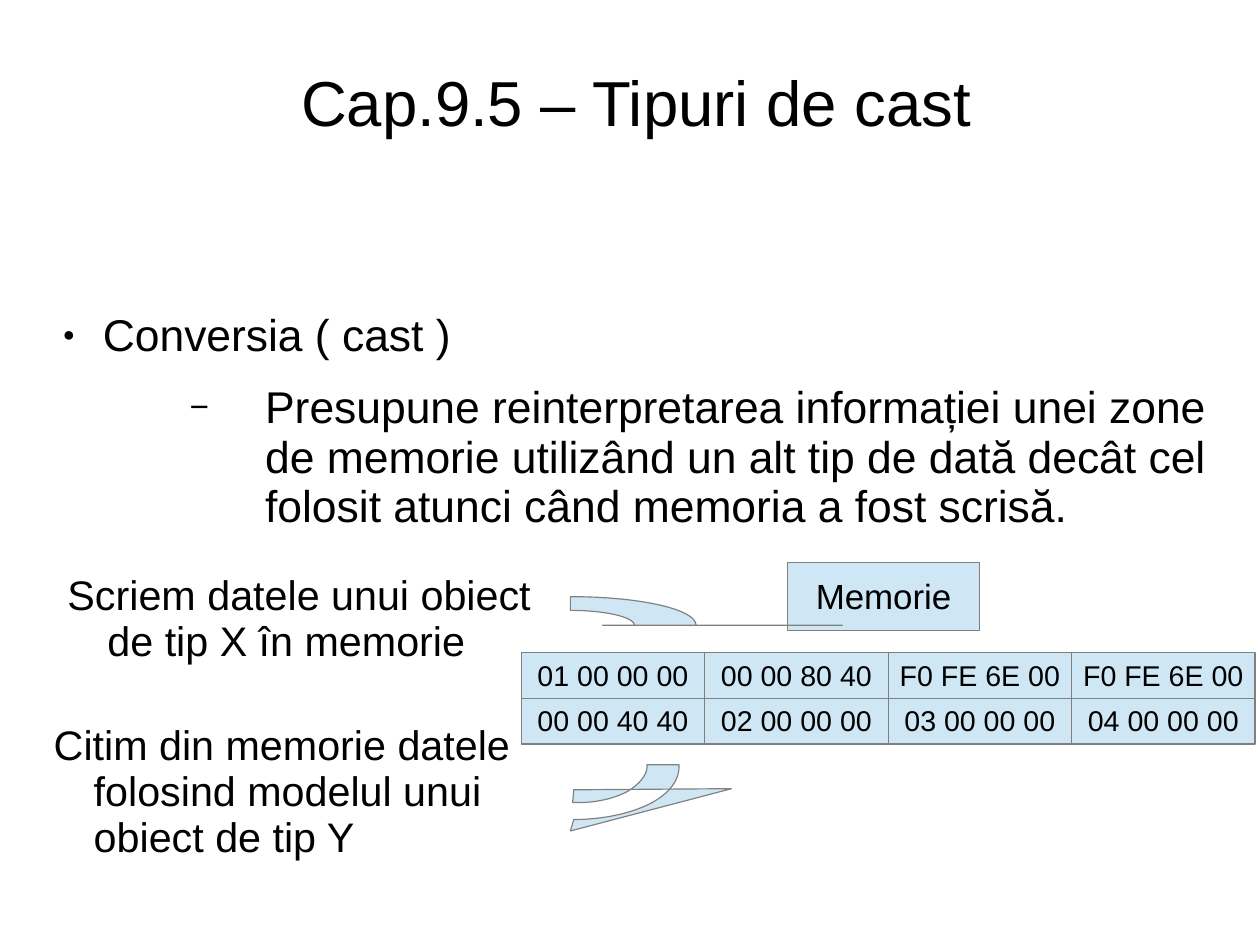
from lxml.etree import SubElement
from pptx import Presentation
from pptx.dml.color import RGBColor
from pptx.enum.shapes import MSO_SHAPE as SHAPE
from pptx.enum.text import MSO_ANCHOR as ANCHOR, PP_ALIGN as ALIGN
from pptx.oxml.ns import qn
from pptx.util import Inches, Pt

BLACK = RGBColor(0x00, 0x00, 0x00)
PALE_BLUE = RGBColor(0xCF, 0xE7, 0xF5)
GRAY = RGBColor(0x80, 0x80, 0x80)

CM_PER_INCH = 2.54
MEMORY = [
    ["01 00 00 00", "00 00 80 40", "F0 FE 6E 00", "F0 FE 6E 00"],
    ["00 00 40 40", "02 00 00 00", "03 00 00 00", "04 00 00 00"],
]
CELL_WIDTH = 6.42 / 4
CELL_HEIGHT = 0.4
WRITE_ARROW = [
    (5.55, 5.47), (5.55, 5.4, 5.3, 5.34, 4.99, 5.34), (4.99, 5.22),
    (5.6, 5.22, 6.09, 5.33, 6.09, 5.47), (6.36, 5.47), (7.37, 5.47), (5.27, 5.47),
]
READ_ARROW = [
    (5.01, 7.02), (5.19, 7.03, 5.36, 6.99, 5.48, 6.93),
    (5.6, 6.86, 5.67, 6.77, 5.66, 6.69), (5.94, 6.69),
    (5.95, 6.82, 5.86, 6.94, 5.69, 7.03), (5.51, 7.12, 5.27, 7.17, 5.02, 7.17),
    (4.99, 7.27), (6.4, 6.9), (5.02, 6.91),
]


def trace(segments, steps=16):
    """Return outline points, with each cubic curve sampled evenly."""
    points = [segments[0]]
    for seg in segments[1:]:
        if len(seg) == 2:
            points.append(seg)
            continue
        curve = [points[-1], seg[:2], seg[2:4], seg[4:]]
        for i in range(1, steps + 1):
            t = i / steps
            weights = ((1 - t) ** 3, 3 * t * (1 - t) ** 2, 3 * t * t * (1 - t), t ** 3)
            points.append(tuple(sum(w * c[k] for w, c in zip(weights, curve)) for k in (0, 1)))
    return points


class Slide:
    """Holds the style and the current slide."""

    def __init__(self, s, font="Arial"):
        self.s = s
        self.font = font

    def frame(self, sp, anchor, insets):
        tf = sp.text_frame
        tf.word_wrap = True
        tf.vertical_anchor = anchor
        tf.margin_left, tf.margin_top, tf.margin_right, tf.margin_bottom = map(Inches, insets)
        return tf

    def paragraph(self, p, text, size, align=ALIGN.LEFT, indent=None, after=0, bullet=None):
        p.alignment = align
        p.line_spacing = 0.93
        p.space_after = Pt(after)
        pPr = p._p.get_or_add_pPr()
        if indent:
            pPr.set("marL", str(Inches(indent[0])))
            pPr.set("indent", str(Inches(indent[1])))
        if bullet:
            char, percent = bullet
            SubElement(pPr, qn("a:buSzPct"), val=str(percent * 1000))
            SubElement(pPr, qn("a:buFont"), typeface=self.font)
            SubElement(pPr, qn("a:buChar"), char=char)
        r = p.add_run()
        r.text = text
        r.font.name = self.font
        r.font.size = Pt(size)
        r.font.color.rgb = BLACK

    def text_box(self, box, top_inset=0.03, anchor=ANCHOR.TOP):
        sp = self.s.shapes.add_textbox(*map(Inches, box))
        return self.frame(sp, anchor, (0, top_inset, 0, 0))

    def paint(self, sp):
        sp.shadow.inherit = False
        sp.fill.solid()
        sp.fill.fore_color.rgb = PALE_BLUE
        sp.line.color.rgb = GRAY
        sp.line.width = Pt(0.75)

    def block(self, box, text, size):
        sp = self.s.shapes.add_shape(SHAPE.ROUNDED_RECTANGLE, *map(Inches, box))
        sp.adjustments[0] = 0
        self.paint(sp)
        tf = self.frame(sp, ANCHOR.MIDDLE, (0.1, 0.07, 0.1, 0.05))
        self.paragraph(tf.paragraphs[0], text, size, ALIGN.CENTER)

    def outline(self, segments):
        points = [(Inches(x), Inches(y)) for x, y in trace(segments)]
        builder = self.s.shapes.build_freeform(*points[0])
        builder.add_line_segments(points[1:], close=True)
        self.paint(builder.convert_to_shape())


def main():
    prs = Presentation()
    prs.slide_width = Inches(28 / CM_PER_INCH)
    prs.slide_height = Inches(21 / CM_PER_INCH)
    slide = Slide(prs.slides.add_slide(prs.slide_layouts[6]))

    tf = slide.text_box((0.36, 0.28, 10.41, 1.24), 0.04, ANCHOR.MIDDLE)
    slide.paragraph(tf.paragraphs[0], "Cap.9.5 – Tipuri de cast", 40, ALIGN.CENTER)

    tf = slide.text_box((0.43, 2.7, 10.17, 2))
    slide.paragraph(tf.paragraphs[0], "Conversia ( cast )", 28,
                    indent=(0.47, -0.35), after=14.1, bullet=("●", 45))
    p = tf.add_paragraph()
    p.level = 1
    slide.paragraph(p, "Presupune reinterpretarea informației unei zone de memorie utilizând "
                    "un alt tip de dată decât cel folosit atunci când memoria a fost scrisă.",
                    28, indent=(1.89, -0.66), after=11.4, bullet=("−", 75))

    for row, values in enumerate(MEMORY):
        for col, value in enumerate(values):
            box = (4.56 + CELL_WIDTH * col, 5.71 + CELL_HEIGHT * row, CELL_WIDTH, CELL_HEIGHT)
            slide.block(box, value, 18)
    slide.block((6.89, 4.92, 1.68, 0.6), "Memorie", 22)

    for box, text in [
        ((0.47, 4.99, 4.22, 1), "Scriem datele unui obiect de tip X în memorie"),
        ((0.35, 6.3, 4.61, 1.4), "Citim din memorie datele folosind modelul unui obiect de tip Y"),
    ]:
        tf = slide.text_box(box)
        slide.paragraph(tf.paragraphs[0], text, 26, indent=(0.47, -0.35), after=14.1)

    for arrow in (WRITE_ARROW, READ_ARROW):
        slide.outline(arrow)
    prs.save("out.pptx")


if __name__ == "__main__":
    main()
